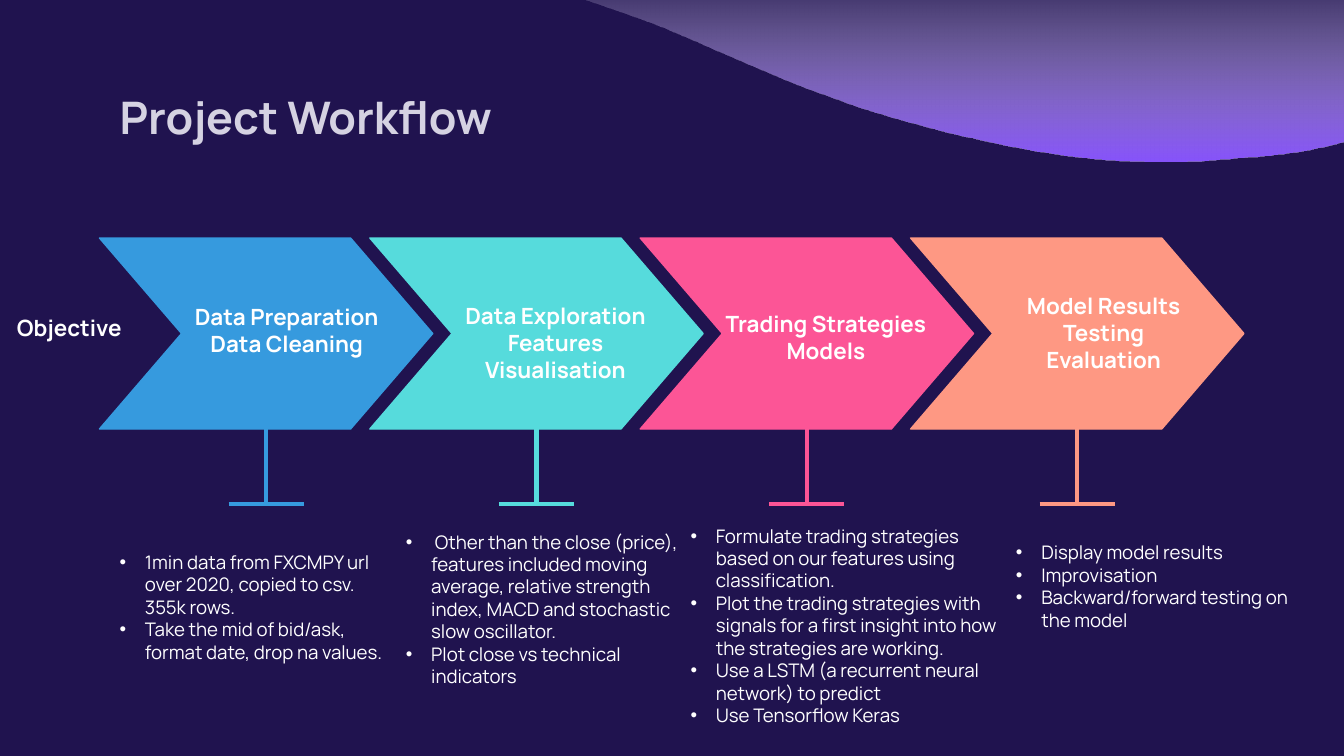
from collections import namedtuple
from dataclasses import dataclass

from lxml import etree
from pptx import Presentation
from pptx import util as u
from pptx.dml import color
from pptx.enum import shapes, text
from pptx.oxml import ns

Box = namedtuple("Box", "left top width height")
Stage = namedtuple("Stage", "fill label label_box bullets list_box spare")


@dataclass(frozen=True)
class Theme:
    font: str = "Manrope"
    background: str = "20134F"
    title: str = "D5D2E2"
    white: str = "FFFFFF"
    violet: str = "8854FD"
    blue: str = "369ADE"
    teal: str = "56DBDC"
    pink: str = "FC5596"
    coral: str = "FE9883"
    title_size: int = 24
    label_size: int = 12
    list_size: int = 10


THEME = Theme()
INSET = 0.25
ARROW = Box(1.88, 4.5, 6.3, 3.61)
PITCH = 5.11
STEM = 1.42
BAR = 1.42
LINE_HEIGHT = 0.42

STAGES = [
    Stage(THEME.blue, "Data Preparation Data Cleaning", Box(1.37, 0.99, 4.34, 2.03),
          ["1min data from FXCMPY url over 2020, copied to csv. 355k rows.",
           "Take the mid of bid/ask, format date, drop na values."],
          Box(2.01, 10.16, 5.72, 2.62), 0),
    Stage(THEME.teal, "Data Exploration\nFeatures\nVisualisation", Box(1.34, 0.96, 4.34, 2.03),
          [" Other than the close (price), features included moving average, "
           "relative strength index, MACD and stochastic slow oscillator.",
           "Plot close vs technical indicators"],
          Box(7.42, 10.41, 5.72, 2.62), LINE_HEIGHT),
    Stage(THEME.pink, "Trading Strategies\nModels", Box(1.06, 1.11, 4.9, 2.03),
          ["Formulate trading strategies based on our features using classification.",
           "Plot the trading strategies with signals for a first insight into how "
           "the strategies are working.",
           "Use a LSTM (a recurrent neural network) to predict",
           "Use Tensorflow Keras"],
          Box(12.8, 10.01, 6.3, 4.04), LINE_HEIGHT),
    Stage(THEME.coral, "Model Results\vTesting\nEvaluation", Box(1.77, 0.78, 3.76, 2.03),
          ["Display model results", "Improvisation",
           "Backward/forward testing on the model"],
          Box(18.95, 9.98, 5.72, 2.62), LINE_HEIGHT),
]

WAVE = Box(7.42, -0.74, 20.93, 3.79)
WAVE_KNOTS = [
    (0, 0.46), (1.24, 0.33), (2.49, 0.46), (3.73, 0.77), (5.13, 1.27), (6.63, 1.91),
    (7.87, 2.42), (9.27, 2.9), (10.69, 3.28), (12.04, 3.56), (13.39, 3.74),
    (14.73, 3.79), (16.08, 3.71), (17.32, 3.56), (18.57, 3.25), (19.76, 2.85), (20.93, 2.31),
]


def rgb(value):
    return color.RGBColor.from_string(value)


def cm(box):
    return [u.Cm(length) for length in box]


def place(shape, box):
    shape.left, shape.top, shape.width, shape.height = cm(box)


def write(shape, content, size, fill, bold, alignment, anchor, spare=0):
    frame = shape.text_frame
    frame.text = content
    frame.word_wrap = True
    frame.auto_size = text.MSO_AUTO_SIZE.NONE
    frame.vertical_anchor = anchor
    frame.margin_left = frame.margin_right = frame.margin_top = u.Cm(INSET)
    frame.margin_bottom = u.Cm(INSET + spare)
    for paragraph in frame.paragraphs:
        paragraph.alignment = alignment
        paragraph.space_before = u.Pt(0)
        for run in paragraph.runs:
            run.font.name = THEME.font
            run.font.size = u.Pt(size)
            run.font.bold = bold
            run.font.color.rgb = rgb(fill)


def add_bullet(paragraph):
    properties = paragraph._p.get_or_add_pPr()
    properties.set("marL", str(u.Cm(0.48)))
    properties.set("indent", str(-u.Cm(0.48)))
    bullet_color = etree.SubElement(properties, ns.qn("a:buClr"))
    etree.SubElement(bullet_color, ns.qn("a:srgbClr"), val=THEME.white)
    etree.SubElement(properties, ns.qn("a:buChar"), char="•")


def add_label(slide, content, box):
    shape = slide.shapes.add_textbox(*cm(box))
    write(shape, content, THEME.label_size, THEME.white, True,
          text.PP_ALIGN.CENTER, text.MSO_ANCHOR.TOP)


def add_line(slide, start, end, fill):
    connector = slide.shapes.add_connector(
        shapes.MSO_CONNECTOR.STRAIGHT, *cm(start), *cm(end))
    connector.line.color.rgb = rgb(fill)
    connector.line.width = u.Pt(2.25)
    etree.SubElement(connector._element.spPr, ns.qn("a:effectLst"))


def smooth_curve(knots, steps=5):
    padded = [knots[0], *knots, knots[-1]]
    for a, b, c, d in zip(padded, padded[1:], padded[2:], padded[3:]):
        for step in range(steps):
            t = step / steps
            yield tuple(
                q + t / 2 * (r - p + t * (2 * p - 5 * q + 4 * r - s
                                          + t * (3 * (q - r) + s - p)))
                for p, q, r, s in zip(a, b, c, d))
    yield knots[-1]


def draw_wave(slide, box):
    outline = [*smooth_curve(WAVE_KNOTS), (box.width, 0)]
    points = [cm((box.left + x, box.top + y)) for x, y in outline]
    builder = slide.shapes.build_freeform(u.Cm(box.left), u.Cm(box.top))
    builder.add_line_segments(points, close=True)
    shape = builder.convert_to_shape()
    shape.shadow.inherit = False
    shape.line.fill.background()
    shape.fill.gradient()
    shape.fill.gradient_angle = 90
    for stop, value in zip(shape.fill.gradient_stops, (THEME.violet, THEME.white)):
        stop.color.rgb = rgb(value)
    clear = shape._element.spPr.findall(".//" + ns.qn("a:srgbClr"))[-1]
    etree.SubElement(clear, ns.qn("a:alpha"), val="0")


def draw_title(slide, box):
    title = slide.shapes.title
    place(title, box)
    write(title, "Project Workflow", THEME.title_size, THEME.title, True,
          text.PP_ALIGN.LEFT, text.MSO_ANCHOR.MIDDLE)


def draw_stage(slide, stage, box):
    arrow = slide.shapes.add_shape(shapes.MSO_SHAPE.CHEVRON, *cm(box))
    arrow.adjustments[0] = 0.43
    arrow.shadow.inherit = False
    arrow.fill.solid()
    arrow.fill.fore_color.rgb = rgb(stage.fill)
    arrow.line.color.rgb = rgb(stage.fill)
    arrow.line.width = u.Pt(0.75)

    center, bottom = box.left + box.width / 2, box.top + box.height
    foot = bottom + STEM
    add_line(slide, (center, bottom), (center, foot), stage.fill)
    add_line(slide, (center - BAR / 2, foot), (center + BAR / 2, foot), stage.fill)

    label = stage.label_box
    add_label(slide, stage.label,
              label._replace(left=box.left + label.left, top=box.top + label.top))


def draw_list(placeholder, stage, box):
    place(placeholder, box)
    write(placeholder, "\n".join(stage.bullets), THEME.list_size, THEME.white, False,
          text.PP_ALIGN.LEFT, text.MSO_ANCHOR.MIDDLE, stage.spare)
    for paragraph in placeholder.text_frame.paragraphs:
        add_bullet(paragraph)


def main():
    presentation = Presentation()
    presentation.slide_width, presentation.slide_height = u.Cm(25.4), u.Cm(14.29)
    comparison_layout = presentation.slide_layouts[4]
    slide = presentation.slides.add_slide(comparison_layout)
    slide.background.fill.solid()
    slide.background.fill.fore_color.rgb = rgb(THEME.background)

    draw_wave(slide, WAVE)
    draw_title(slide, Box(2.01, 1.5, 21.39, 1.4))
    add_label(slide, "Objective", Box(-0.86, 5.69, 4.34, 1.22))
    for index, stage in enumerate(STAGES):
        draw_stage(slide, stage, ARROW._replace(left=ARROW.left + index * PITCH))
        draw_list(slide.placeholders[index + 1], stage, stage.list_box)
    presentation.save("out.pptx")


if __name__ == "__main__":
    main()
